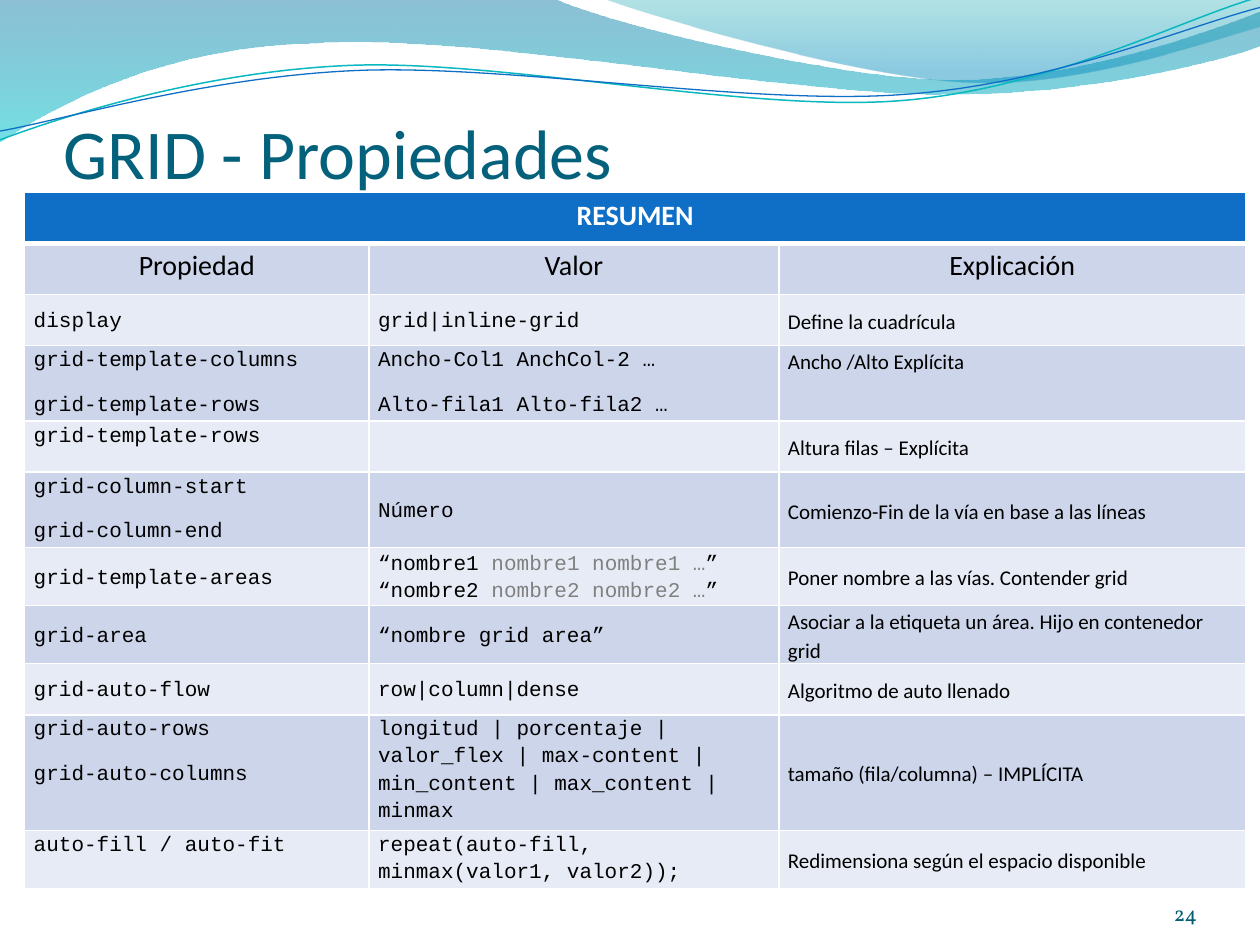
import dataclasses
import math

import lxml.etree
import pptx
import pptx.dml.color
import pptx.enum.text
import pptx.oxml
import pptx.oxml.ns
import pptx.util

Pt = pptx.util.Pt
RGB = pptx.dml.color.RGBColor.from_string
qn = pptx.oxml.ns.qn
ALIGN = pptx.enum.text.PP_ALIGN
ANCHOR = pptx.enum.text.MSO_ANCHOR


@dataclasses.dataclass(frozen=True)
class Theme:
    """Colours, fonts and type sizes of the slide."""
    title: str = "04617B"
    number: str = "045D75"
    header: str = "0F6FC6"
    bands: tuple = ("CCD5EA", "E7EBF5")
    white: str = "FFFFFF"
    ink: str = "000000"
    muted: str = "808080"
    teal: str = "0AB8BF"
    sans: str = "Calibri"
    code: str = "Courier New"
    serif: str = "Vollkorn"
    title_size: int = 40
    head_size: int = 16
    body_size: int = 12


T = Theme()

# Gradient stops: position, colour, opacity in percent
WAVES = [
    ([(0, "0074A1", 45), (1, "00C6CF", 55)],
     [[(0, 0)], [(316.8, -0.7)],
      [(342.7, 12.2), (478.1, 45.4), (545.8, 45.4)],
      [(614.2, 45.4), (689.8, 18.7), (720, 6.5)], [(720.7, 25.9)],
      [(707.8, 31.7), (626.4, 54.7), (537.1, 54)],
      [(447.8, 54), (275, 20.2), (185, 24.5)],
      [(92.9, 25.9), (33.1, 59.8), (-0.7, 81.4)]]),
    ([(0, "00A1A9", 30), (0.8, "008BBF", 45)],
     [[(344.9, -0.7)],
      [(366.5, 7.9), (491, 44.6), (553.7, 46.8)],
      [(616.3, 49.7), (691.9, 23), (720, 15.1)], [(720, 0)]]),
]
TILT = -2.7
# Colour, width, centre of rotation, segments as they lie on the slide
STRANDS = [
    (T.teal, 0.85, (359.3, 41.4),
     [[(0, 79.9)], [(34.6, 67), (113.8, 41), (199.4, 37.4)],
      [(284.4, 33.8), (427, 64.1), (513.4, 57.6)],
      [(599.8, 51.1), (675.4, 10.8), (718.6, -1.4)]]),
    (T.header, 0.75, (359.6, 42.5),
     [[(0, 74.9)], [(33.8, 69.1), (118.1, 43.9), (203.8, 40.3)],
      [(290.2, 36.7), (429.8, 60.5), (516.2, 54)],
      [(601.9, 48.2), (677.5, 15.1), (720, 4.3)]]),
]

COLUMNS = (196.8, 234.2, 266.7)
ROW_HEIGHT = 29.2
TABLE_HEIGHT = 393.8
HEADINGS = ("Propiedad", "Valor", "Explicación")
AREAS = [[("“nombre1 ", T.ink), ("nombre1 nombre1 …", T.muted),
          ("” “nombre2 ", T.ink), ("nombre2 nombre2 …", T.muted), ("”", T.ink)]]
# Three cells, then the vertical anchor of each: t(op) or m(iddle)
ROWS = [
    (["display"], ["grid|inline-grid"], ["Define la cuadrícula"], "mmm"),
    (["grid-template-columns", "grid-template-rows"],
     ["Ancho-Col1 AnchCol-2 …", "Alto-fila1 Alto-fila2 …"],
     ["Ancho /Alto Explícita"], "ttt"),
    (["grid-template-rows"], [], ["Altura filas – Explícita"], "ttm"),
    (["grid-column-start", "grid-column-end"], ["Número"],
     ["Comienzo-Fin de la vía en base a las líneas"], "tmm"),
    (["grid-template-areas"], AREAS,
     ["Poner nombre a las vías. Contender grid"], "mmm"),
    (["grid-area"], ["“nombre grid area”"],
     ["Asociar a la etiqueta un área. Hijo en contenedor grid"], "mmm"),
    (["grid-auto-flow"], ["row|column|dense"],
     ["Algoritmo de auto llenado"], "mmm"),
    (["grid-auto-rows", "grid-auto-columns"],
     ["longitud | porcentaje | valor_flex | max-content | "
      "min_content | max_content | minmax"],
     ["tamaño (fila/columna) – IMPLÍCITA"], "ttm"),
    (["auto-fill / auto-fit"], ["repeat(auto-fill, minmax(valor1, valor2));"],
     ["Redimensiona según el espacio disponible"], "ttm"),
]


def write(tf, paragraphs, size=T.body_size, font=T.sans, color=T.ink,
          bold=False, align=ALIGN.LEFT, spacing=None, after=None):
    """Fill a text frame; a paragraph is a string or a list of (text, colour)."""
    for i, runs in enumerate(paragraphs):
        p = tf.paragraphs[0] if i == 0 else tf.add_paragraph()
        p.alignment = align
        if spacing:
            p.line_spacing = spacing
        if after:
            p.space_after = Pt(after)
        for text, tint in [(runs, color)] if isinstance(runs, str) else runs:
            r = p.add_run()
            r.text = text
            r.font.size, r.font.name, r.font.bold = Pt(size), font, bold
            r.font.color.rgb = RGB(tint)
            for script in ("a:ea", "a:cs"):
                lxml.etree.SubElement(r.font._element, qn(script)).set("typeface", font)
        end = lxml.etree.SubElement(p._p, qn("a:endParaRPr"), sz=str(size * 100))
        for script in ("a:latin", "a:ea", "a:cs"):
            lxml.etree.SubElement(end, qn(script)).set("typeface", font)


def add_text(s, box, text, top=0, **fmt):
    """Add a bottom-anchored text box with no side insets."""
    tf = s.shapes.add_textbox(*map(Pt, box)).text_frame
    tf.word_wrap = True
    tf.vertical_anchor = ANCHOR.BOTTOM
    tf.margin_left = tf.margin_right = tf.margin_bottom = 0
    tf.margin_top = Pt(top)
    write(tf, [text], **fmt)


def add_outline(s, segments, close):
    """Add a freeform; segments of three points become cubic curves."""
    points = [(Pt(x), Pt(y)) for segment in segments for x, y in segment]
    builder = s.shapes.build_freeform(*points[0], scale=1.0)
    builder.add_line_segments(points[1:], close=close)
    sp = builder.convert_to_shape()
    sp.shadow.inherit = False
    lines = iter(list(sp._element.iter(qn("a:lnTo"))))
    for segment in segments[1:]:
        first, *rest = [next(lines) for _ in segment]
        if rest:
            first.tag = qn("a:cubicBezTo")
            for line in rest:
                first.append(line[0])
                line.getparent().remove(line)
    return sp


def add_wave(s, stops, segments):
    """Add a filled wave with a translucent vertical gradient."""
    sp = add_outline(s, segments, True)
    sp.line.fill.background()
    sp.fill.gradient()
    sp.fill.gradient_angle = 270
    for stop, (position, color, _) in zip(sp.fill.gradient_stops, stops):
        stop.position = position
        stop.color.rgb = RGB(color)
    for node, (_, _, opacity) in zip(sp._element.spPr.iter(qn("a:srgbClr")), stops):
        lxml.etree.SubElement(node, qn("a:alpha")).set("val", str(opacity * 1000))


def level(point, centre):
    """Turn a point back by the tilt around the centre."""
    dx, dy = point[0] - centre[0], point[1] - centre[1]
    cos, sin = math.cos(math.radians(-TILT)), math.sin(math.radians(-TILT))
    return centre[0] + dx * cos - dy * sin, centre[1] + dx * sin + dy * cos


def add_strand(s, color, width, centre, segments):
    """Add a thin, tilted open curve."""
    flat = [[level(point, centre) for point in segment] for segment in segments]
    sp = add_outline(s, flat, False)
    sp.rotation = TILT
    sp.fill.background()
    sp.line.color.rgb = RGB(color)
    sp.line.width = Pt(width)


def style_cell(cell, fill, top=1, bottom=1):
    """Set the fill and the white borders of a cell."""
    cell.fill.solid()
    cell.fill.fore_color.rgb = RGB(fill)
    tcPr = cell._tc.get_or_add_tcPr()
    for i, (side, width) in enumerate(zip("LRTB", (1, 1, top, bottom))):
        ln = lxml.etree.Element(qn("a:ln" + side), w=str(Pt(width)))
        solid = lxml.etree.SubElement(ln, qn("a:solidFill"))
        lxml.etree.SubElement(solid, qn("a:srgbClr")).set("val", T.white)
        tcPr.insert(i, ln)


def fill_cell(cell, paragraphs, anchor="t", **fmt):
    """Write a body cell with tight insets."""
    if not paragraphs:
        return
    cell.margin_left = cell.margin_right = Pt(5.2)
    cell.margin_top = cell.margin_bottom = 0
    cell.vertical_anchor = ANCHOR.MIDDLE if anchor == "m" else ANCHOR.TOP
    write(cell.text_frame, paragraphs, spacing=1.15, after=10, **fmt)


def add_summary(s):
    """Add the summary table of grid properties."""
    frame = s.shapes.add_table(len(ROWS) + 2, len(COLUMNS), Pt(14.1), Pt(109.9),
                               Pt(sum(COLUMNS)), Pt(TABLE_HEIGHT))
    table = frame.table
    for column, width in zip(table.columns, COLUMNS):
        column.width = Pt(width)
    for i, row in enumerate(table.rows):
        row.height = Pt(ROW_HEIGHT)
        for cell in row.cells:
            style_cell(cell, T.bands[(i - 1) % 2] if i else T.header,
                       top=3 if i == 1 else 1, bottom=1 if i else 3)
    frame.height = Pt(TABLE_HEIGHT)
    table.cell(0, 0).merge(table.cell(0, len(COLUMNS) - 1))
    write(table.cell(0, 0).text_frame, ["RESUMEN"], size=T.head_size,
          color=T.white, bold=True, align=ALIGN.CENTER)
    for j, heading in enumerate(HEADINGS):
        fill_cell(table.cell(1, j), [heading], size=T.head_size, align=ALIGN.CENTER)
    for i, (*cells, anchors) in enumerate(ROWS, 2):
        for j, font in enumerate((T.code, T.code, T.sans)):
            fill_cell(table.cell(i, j), cells[j], anchors[j], font=font)


def main():
    """Build and save the slide."""
    prs = pptx.Presentation()
    prs.slide_width, prs.slide_height = Pt(720), Pt(540)
    s = prs.slides.add_slide(prs.slide_layouts[6])
    for wave in WAVES:
        add_wave(s, *wave)
    for strand in STRANDS:
        add_strand(s, *strand)
    add_text(s, (36.3, 20.6, 669.6, 90), "GRID - Propiedades", top=3.6,
             size=T.title_size, color=T.title)
    add_text(s, (624, 500.2, 60, 28.8), "24", font=T.serif,
             color=T.number, align=ALIGN.RIGHT)
    add_summary(s)
    prs.save("out.pptx")


main()
